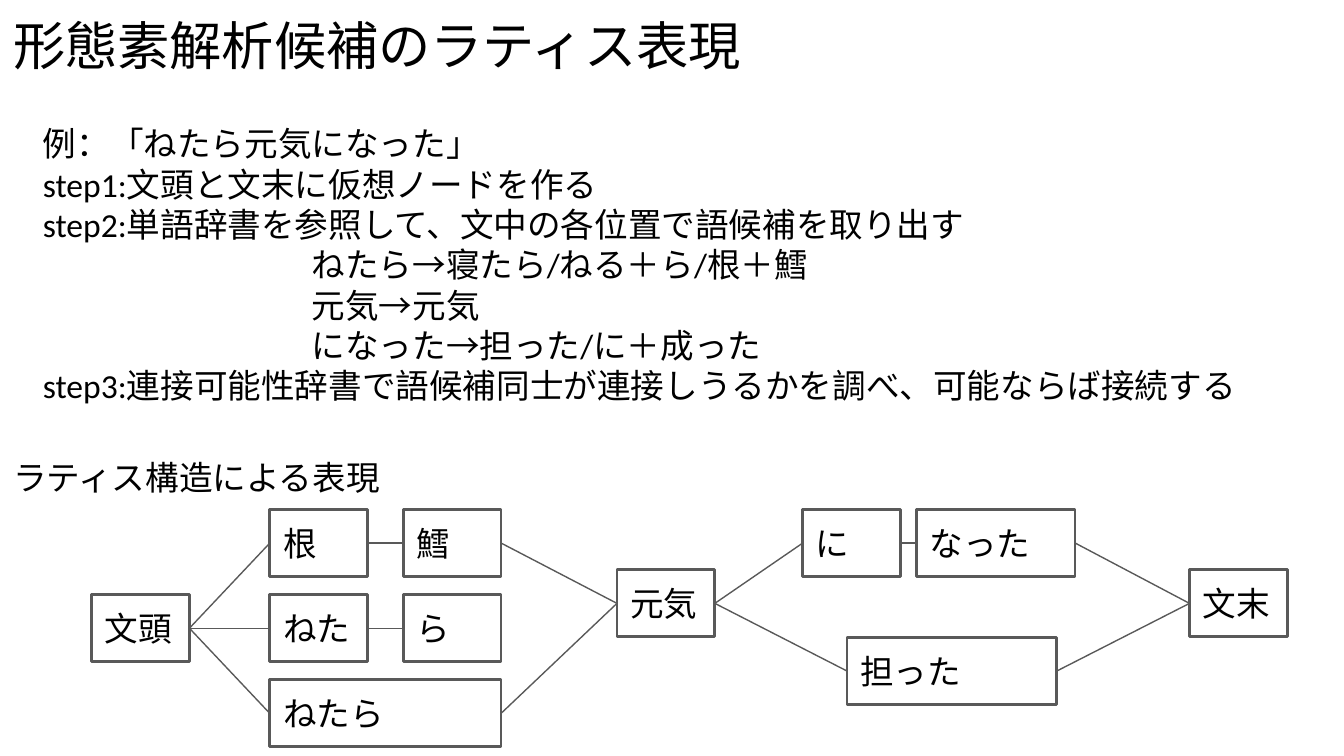
from pptx import Presentation
from pptx.dml.color import RGBColor
from pptx.enum import shapes, text
from pptx.oxml.ns import qn
from pptx.util import Cm, Pt
from lxml import etree

COLORS = {"text": "000000", "node": "FFFFFF", "line": "595959"}
TITLE_ONLY = 5
RIGHT, LEFT = 3, 1
NODE_WIDTH, NODE_HEIGHT = 1.85, 1.27


def color(name):
    return RGBColor.from_string(COLORS[name])


def write(shape, content, font="Arial", size=18, anchor=text.MSO_ANCHOR.TOP):
    """Fill a shape with lines of text; a line is a string or (string, indent in cm)."""
    frame = shape.text_frame
    frame.word_wrap = True
    frame.auto_size = text.MSO_AUTO_SIZE.NONE
    frame.vertical_anchor = anchor
    frame.margin_left = frame.margin_right = Cm(0.25)
    frame.margin_top = frame.margin_bottom = Cm(0.25)
    lines = [content] if isinstance(content, str) else content
    for index, line in enumerate(lines):
        words, indent = (line, 0) if isinstance(line, str) else line
        paragraph = frame.add_paragraph() if index else frame.paragraphs[0]
        paragraph.alignment = text.PP_ALIGN.LEFT
        if indent:
            paragraph._p.get_or_add_pPr().set("marL", str(Cm(indent)))
        run = paragraph.add_run()
        run.text = words
        run.font.name = font
        run.font.size = Pt(size)
        run.font.color.rgb = color("text")


class LatticeSlide:
    def __init__(self, presentation):
        self.slide = presentation.slides.add_slide(presentation.slide_layouts[TITLE_ONLY])

    def title(self, content, left, top, width, height):
        shape = self.slide.shapes.title
        shape.left, shape.top = Cm(left), Cm(top)
        shape.width, shape.height = Cm(width), Cm(height)
        write(shape, content, font="Calibri", size=28)

    def textbox(self, content, left, top, width, height, **style):
        shape = self.slide.shapes.add_textbox(Cm(left), Cm(top), Cm(width), Cm(height))
        write(shape, content, **style)

    def node(self, word, left, top, width=NODE_WIDTH):
        shape = self.slide.shapes.add_shape(
            shapes.MSO_SHAPE.RECTANGLE, Cm(left), Cm(top), Cm(width), Cm(NODE_HEIGHT))
        shape.shadow.inherit = False
        shape.fill.solid()
        shape.fill.fore_color.rgb = color("node")
        shape.line.color.rgb = color("line")
        shape.line.width = Pt(1.5)
        write(shape, word, anchor=text.MSO_ANCHOR.MIDDLE)
        return shape

    def edge(self, start, end):
        connector = self.slide.shapes.add_connector(shapes.MSO_CONNECTOR.STRAIGHT, 0, 0, 0, 0)
        connector.begin_connect(start, RIGHT)
        connector.end_connect(end, LEFT)
        connector.line.color.rgb = color("line")
        connector.line.width = Pt(0.75)
        etree.SubElement(connector._element.spPr, qn("a:effectLst"))


def main():
    presentation = Presentation()
    presentation.slide_width, presentation.slide_height = Cm(25.4), Cm(14.29)
    lattice = LatticeSlide(presentation)

    # Title and explanation
    lattice.title("形態素解析候補のラティス表現", 0, 0, 25.4, 1.6)
    indent = 5.08
    lattice.textbox([
        "例：「ねたら元気になった」",
        "step1:文頭と文末に仮想ノードを作る",
        "step2:単語辞書を参照して、文中の各位置で語候補を取り出す",
        ("ねたら→寝たら/ねる＋ら/根＋鱈", indent),
        ("元気→元気", indent),
        ("になった→担った/に＋成った", indent),
        "step3:連接可能性辞書で語候補同士が連接しうるかを調べ、可能ならば接続する",
    ], 0.56, 2.08, 24.38, 12.04, font="Calibri")
    lattice.textbox("ラティス構造による表現", 0, 8.38, 7.5, 1.27)

    # Lattice nodes: word, left, top and, where wider, width
    upper, middle, lower = (9.63 + 1.61 * row for row in range(3))
    center = 10.77
    nodes = {word: lattice.node(word, *place) for word, *place in [
        ("文頭", 1.73, middle),
        ("根", 5.1, upper),
        ("鱈", 7.62, upper),
        ("ねた", 5.1, middle),
        ("ら", 7.62, middle),
        ("ねたら", 5.1, lower, 4.37),
        ("元気", 11.66, center),
        ("に", 15.17, upper),
        ("なった", 17.32, upper, 3),
        ("担った", 16.01, 12.05, 3.96),
        ("文末", 22.48, center),
    ]}

    # Possible connections
    for start, end in [
        ("文頭", "根"), ("根", "鱈"), ("鱈", "元気"),
        ("文頭", "ねた"), ("ねた", "ら"),
        ("文頭", "ねたら"), ("ねたら", "元気"),
        ("元気", "に"), ("に", "なった"), ("なった", "文末"),
        ("元気", "担った"), ("担った", "文末"),
    ]:
        lattice.edge(nodes[start], nodes[end])

    presentation.save("out.pptx")


if __name__ == "__main__":
    main()
